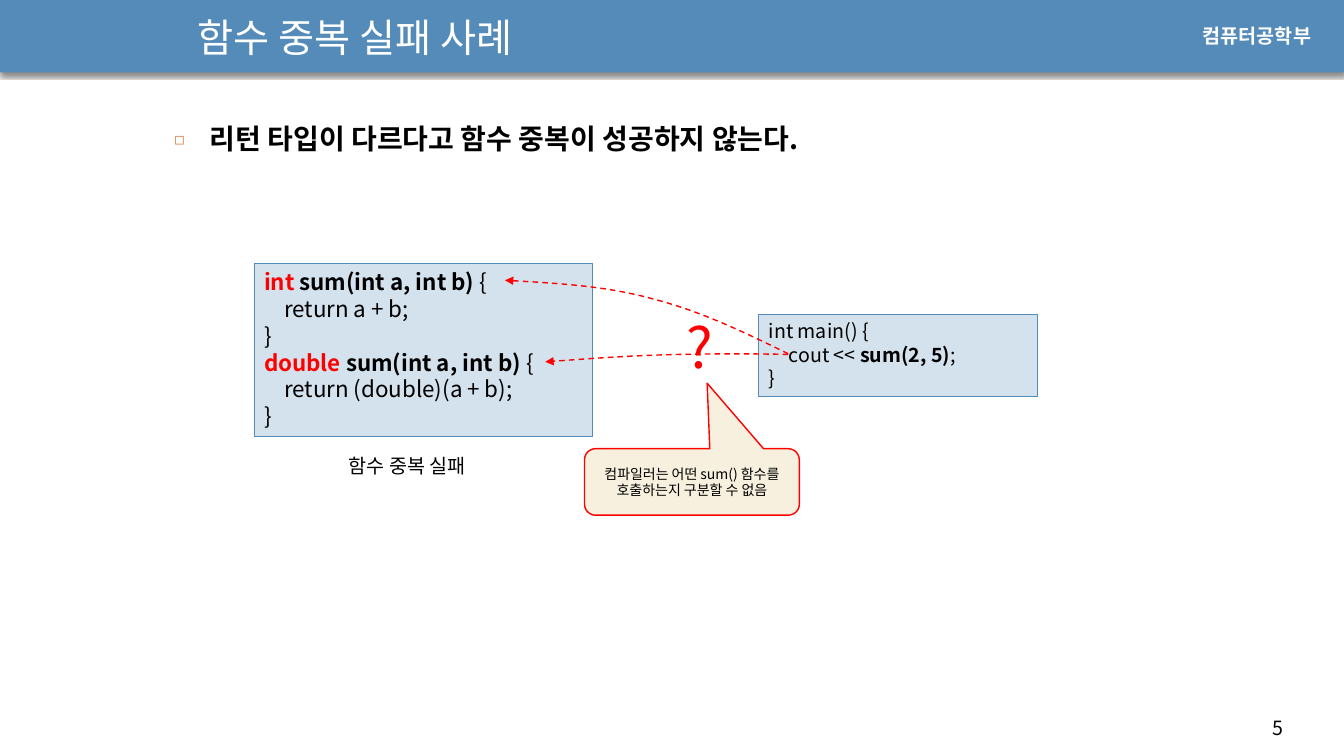
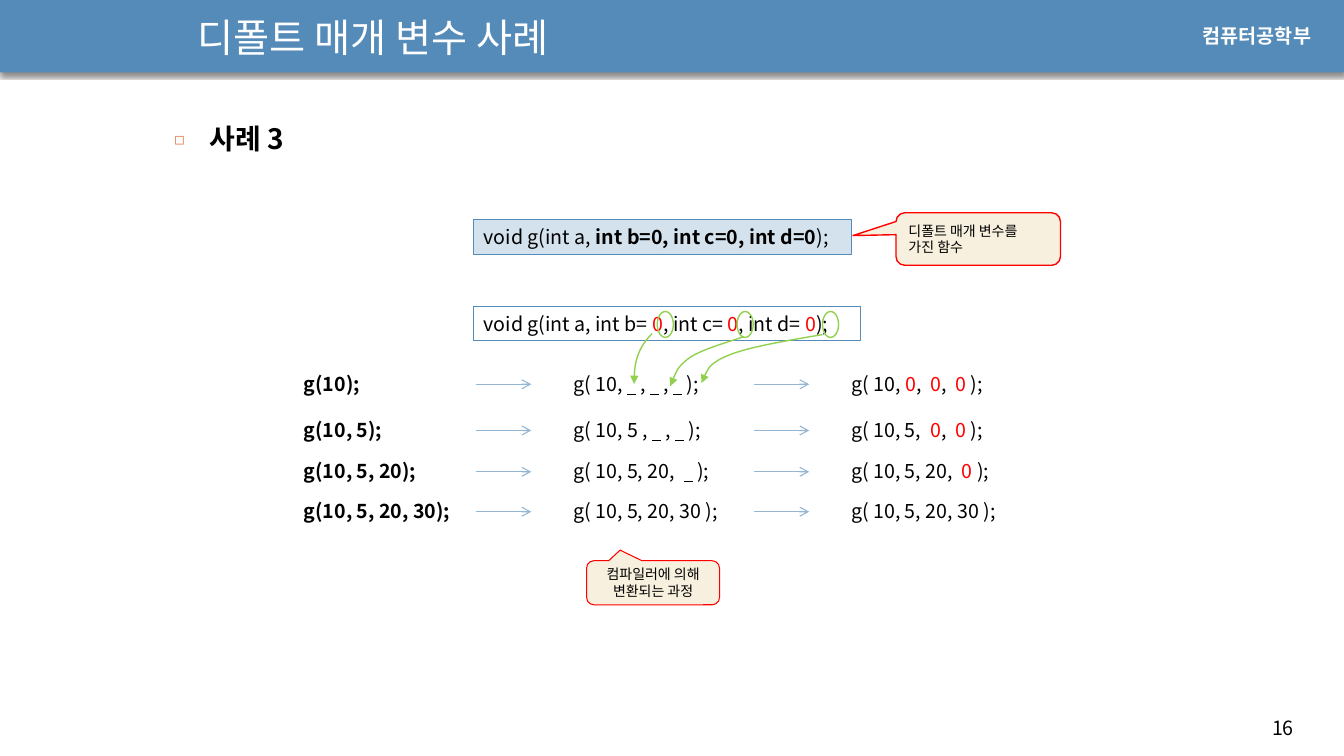
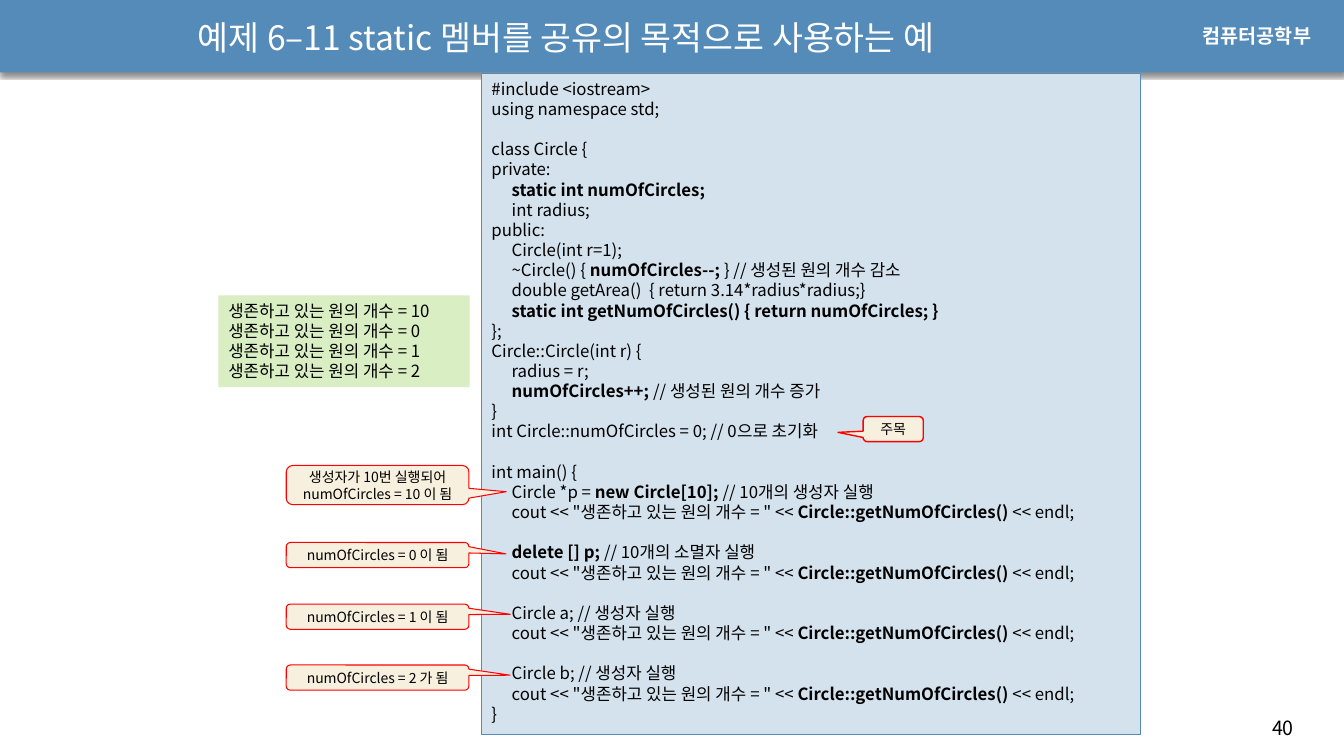
from lxml.etree import SubElement
from pptx import Presentation
from pptx.dml.color import RGBColor
from pptx.enum.dml import MSO_LINE
from pptx.enum.shapes import MSO_CONNECTOR, MSO_SHAPE
from pptx.enum.text import MSO_ANCHOR as Anchor, MSO_AUTO_SIZE, PP_ALIGN as Align
from pptx.oxml.ns import qn
from pptx.util import Pt

FONT = "Noto Sans CJK KR"
BLACK = RGBColor(0x00, 0x00, 0x00)
WHITE = RGBColor(0xFF, 0xFF, 0xFF)
RED = RGBColor(0xFF, 0x00, 0x00)
BLUE = RGBColor(0x55, 0x8B, 0xB8)
SOFT_BLUE = RGBColor(0x94, 0xB6, 0xD2)
PALE_BLUE = RGBColor(0xD4, 0xE2, 0xED)
PALE_GREEN = RGBColor(0xDA, 0xEE, 0xC4)
GREEN = RGBColor(0x92, 0xD0, 0x50)
CREAM = RGBColor(0xF7, 0xF0, 0xDE)
ORANGE = RGBColor(0xDD, 0x80, 0x47)
LINE_FACTOR = 1.2
CODE_INDENT = 14.4


# Run styles: a line is a string or a list of strings and (text, style) pairs
def bold(text):
    return text, {"bold": True}


def red(text, **style):
    return text, {"color": RED, **style}


BLANK = ("  ", {"underline": True})
ZERO = red("0")

# Content: failed overloading
SUM_CODE = [
    [red("int ", bold=True), bold("sum(int a, int b) "), "{"],
    "\treturn a + b;",
    "}",
    [red("double ", bold=True), bold("sum(int a, int b) "), "{"],
    "\treturn (double)(a + b);",
    "}",
]
MAIN_CODE = ["int main() {", ["\tcout << ", bold("sum(2, 5)"), ";"], "}"]
CALL_CURVES = [
    [(563, 252.7), (532.1, 237.6), (501.1, 222.5), (467.3, 213.8),
     (434.2, 204.5), (397.4, 202.3), (360.7, 200.2)],
    [(563, 253.2), (535, 252.6), (506.9, 252.6), (477.4, 253.4),
     (448.6, 254.2), (419, 256.3), (389.5, 258.5)],
]

# Content: default parameters
DECLARATION = ["void g(int a, ", bold("int b=0, int c=0, int d=0"), ");"]
EXPANDED = ["void g(int a, int b= ", ZERO, ", int c= ", ZERO, ", int d= ", ZERO, ");"]
CALL_ROWS = [  # top, call, blanks, filled
    (262, "g(10);", ["g( 10, ", BLANK, " , ", BLANK, " , ", BLANK, " );"],
     ["g( 10, ", ZERO, ",  ", ZERO, ",  ", ZERO, " );"]),
    (295, "g(10, 5);", ["g( 10, 5 , ", BLANK, " , ", BLANK, " );"],
     ["g( 10, 5,  ", ZERO, ",  ", ZERO, " );"]),
    (324.5, "g(10, 5, 20);", ["g( 10, 5, 20,  ", BLANK, " );"],
     ["g( 10, 5, 20,  ", ZERO, " );"]),
    (353, "g(10, 5, 20, 30);", "g( 10, 5, 20, 30 );", "g( 10, 5, 20, 30 );"),
]
CALL_COLUMNS = [210, 402.5, 601]
ARROW_STARTS = [340, 538.5]
RING_LEFTS = [469.5, 526.5, 587.5]
DEFAULT_CURVES = [
    [(465.8, 238.3), (461.5, 242.6), (457.9, 247.7), (455.8, 253.4),
     (453.6, 259.9), (452.9, 267.1), (452.9, 274.3)],
    [(531.4, 240.5), (516.2, 245.5), (501.1, 249.8), (492.5, 255.6),
     (483.8, 262.1), (481.7, 268.6), (478.8, 275.8)],
    [(587.5, 239), (561.6, 243.4), (535.7, 247.7), (521.3, 253.4),
     (506.9, 259.2), (504, 266.4), (501.1, 273.6)],
]

# Content: static members ("" opens a gap above the next line)
PRINT_COUNT = ['\tcout << "생존하고 있는 원의 개수 = " << ',
               bold("Circle::getNumOfCircles()"), " << endl;"]
CIRCLE_CODE = [
    "#include <iostream>",
    "using namespace std;",
    "",
    "class Circle {",
    "private:",
    ["\t", bold("static int numOfCircles;")],
    "\tint radius;",
    "public:",
    "\tCircle(int r=1);",
    ["\t~Circle() { ", bold("numOfCircles--; "), "} // 생성된 원의 개수 감소"],
    "\tdouble getArea()  { return 3.14*radius*radius;}",
    ["\t", bold("static int getNumOfCircles() { return numOfCircles; }")],
    "};",
    "Circle::Circle(int r) {",
    "\tradius = r;",
    ["\t", bold("numOfCircles++; "), "// 생성된 원의 개수 증가"],
    "}",
    "int Circle::numOfCircles = 0; // 0으로 초기화",
    "",
    "int main() {",
    ["\tCircle *p = ", bold("new Circle[10]; "), "// 10개의 생성자 실행"],
    PRINT_COUNT,
    "",
    ["\t", bold("delete [] p; "), "// 10개의 소멸자 실행"],
    PRINT_COUNT,
    "",
    "\tCircle a; // 생성자 실행",
    PRINT_COUNT,
    "",
    "\tCircle b; // 생성자 실행",
    PRINT_COUNT,
    "}",
]
COUNTS = [10, 0, 1, 2]
COUNT_NOTES = [  # top, height, pointer tip, lines
    (332.5, 28, (0.704, 0.17), ["생성자가 10번 실행되어", "numOfCircles = 10 이 됨"]),
    (387.5, 18, (0.703, -0.048), ["numOfCircles = 0 이 됨"]),
    (431.5, 18, (0.726, -0.095), ["numOfCircles = 1 이 됨"]),
    (475, 18, (0.726, -0.095), ["numOfCircles = 2 가 됨"]),
]


# Text
def write(shape, lines, size=14, color=BLACK, bold=False, font=FONT, align=Align.LEFT,
          anchor=Anchor.TOP, margin=7.2, bullet=None):
    frame = shape.text_frame
    frame.word_wrap = True
    frame.auto_size = MSO_AUTO_SIZE.NONE
    frame.vertical_anchor = anchor
    frame.margin_left = frame.margin_right = Pt(margin)
    frame.margin_top = frame.margin_bottom = Pt(3.6)
    para, gap = None, 0
    for line in lines:
        if not line:
            gap = size * LINE_FACTOR
            continue
        para = frame.add_paragraph() if para else frame.paragraphs[0]
        para.alignment = align
        para.line_spacing = Pt(size * LINE_FACTOR)
        para.space_before, gap = Pt(gap), 0
        para.space_after = Pt(0)
        for piece in [line] if isinstance(line, str) else line:
            text, style = (piece, {}) if isinstance(piece, str) else piece
            if text.startswith("\t"):
                para._p.get_or_add_pPr().set("marL", str(Pt(CODE_INDENT)))
                text = text[1:]
            if not text:
                continue
            span = para.add_run()
            span.text = text
            span.font.size = Pt(size)
            span.font.name = font
            span.font.bold = style.get("bold", bold)
            span.font.underline = style.get("underline", False)
            span.font.color.rgb = style.get("color", color)
            SubElement(span.font._element, qn("a:ea"), typeface=FONT)
        if bullet:
            add_bullet(para, bullet)


def add_bullet(para, mark):
    para.space_after = Pt(6)
    props = para._p.get_or_add_pPr()
    props.set("marL", str(Pt(25.2)))
    props.set("indent", str(-Pt(25.2)))
    tint = SubElement(props, qn("a:buClr"))
    SubElement(tint, qn("a:srgbClr"), val=str(ORANGE))
    SubElement(props, qn("a:buSzPct"), val="60000")
    SubElement(props, qn("a:buFont"), typeface=FONT)
    SubElement(props, qn("a:buChar"), char=mark)


# Shapes
def add_label(page, at, lines, **text_format):
    box = page.shapes.add_textbox(*map(Pt, at))
    write(box, lines, **text_format)


def add_box(page, at, lines=(), preset=MSO_SHAPE.RECTANGLE, fill=None, line=None,
            weight=0.75, **text_format):
    box = page.shapes.add_shape(preset, *map(Pt, at))
    box.shadow.inherit = False
    if fill is None:
        box.fill.background()
    else:
        box.fill.solid()
        box.fill.fore_color.rgb = fill
    if line is None:
        box.line.fill.background()
    else:
        box.line.color.rgb = line
        box.line.width = Pt(weight)
    if lines:
        write(box, lines, **text_format)
    return box


def add_code(page, at, lines, size=14, fill=PALE_BLUE):
    add_box(page, at, lines, fill=fill, line=BLUE, size=size)


def add_callout(page, at, tip, lines, weight=0.75, align=Align.CENTER):
    box = add_box(page, at, lines, MSO_SHAPE.ROUNDED_RECTANGULAR_CALLOUT, CREAM, RED, weight,
                  size=10, align=align, anchor=Anchor.MIDDLE,
                  margin=4 if align == Align.CENTER else 7.2)
    box.adjustments[0], box.adjustments[1] = tip


def style_arrow(arrow, color, weight, head):
    arrow.line.color.rgb = color
    arrow.line.width = Pt(weight)
    SubElement(arrow.line._get_or_add_ln(), qn("a:tailEnd"), type=head)


def add_arrow(page, left, right, y):
    arrow = page.shapes.add_connector(MSO_CONNECTOR.STRAIGHT, Pt(left), Pt(y), Pt(right), Pt(y))
    SubElement(arrow.element.spPr, qn("a:effectLst"))
    style_arrow(arrow, SOFT_BLUE, 0.79, "arrow")


def add_curve(page, points, color, dash=None):
    start, *rest = [(Pt(x), Pt(y)) for x, y in points]
    builder = page.shapes.build_freeform(*start)
    builder.add_line_segments(rest, close=False)
    curve = builder.convert_to_shape()
    curve.shadow.inherit = False
    curve.fill.background()
    curve.line.dash_style = dash
    style_arrow(curve, color, 1, "triangle")
    # Every three line points become one cubic segment
    outline = next(curve.element.iter(qn("a:path")))
    steps = outline.findall(qn("a:lnTo"))
    for first in range(0, len(steps), 3):
        bend = SubElement(outline, qn("a:cubicBezTo"))
        for step in steps[first:first + 3]:
            bend.append(step[0])
            outline.remove(step)


# Shared frame: band, title, school, page number, optional bullet heading
def start_page(deck, title, number, heading=None, title_size=28, title_width=533):
    page = deck.slides.add_slide(deck.slide_layouts[5])
    band = add_box(page, (0, -0.7, 960, 52.5), fill=BLUE)
    effects = band.element.spPr.find(qn("a:effectLst"))
    shadow = SubElement(effects, qn("a:outerShdw"), blurRad=str(Pt(3)), dist=str(Pt(2.4)),
                        dir="5400000", algn="t", rotWithShape="0")
    shade = SubElement(shadow, qn("a:srgbClr"), val=str(BLACK))
    SubElement(shade, qn("a:alpha"), val="45000")
    head = page.shapes.title
    head.element.addprevious(band.element)
    head.left, head.top, head.width, head.height = map(Pt, (134, 3.5, title_width, 45.5))
    write(head, [title], size=title_size, color=WHITE, anchor=Anchor.MIDDLE)
    add_label(page, (901.5, 507.5, 51, 24.5), [str(number)])
    add_label(page, (852, 13.5, 98.5, 24.5), ["컴퓨터공학부"], color=WHITE, bold=True,
              font="Arial")
    if heading:
        add_label(page, (117.5, 83, 799, 397), [heading], size=20, bold=True, bullet="◻")
    return page


def build_overload_page(deck):
    page = start_page(deck, "함수 중복 실패 사례", 5,
                      "리턴 타입이 다르다고 함수 중복이 성공하지 않는다.")
    add_code(page, (181.5, 188, 242, 124), SUM_CODE, size=16)
    add_code(page, (542, 224.5, 199, 58.5), MAIN_CODE)
    for points in CALL_CURVES:
        add_curve(page, points, RED, MSO_LINE.DASH)
    add_label(page, (242, 321, 109.5, 24.5), ["함수 중복 실패"])
    add_callout(page, (417.5, 320.5, 153.5, 47.5), (0.071, -1.485),
                ["컴파일러는 어떤 sum() 함수를 호출하는지 구분할 수 없음"], weight=1)
    add_label(page, (483, 219.5, 33, 55.5), ["?"], size=40, color=RED)


def build_default_page(deck):
    page = start_page(deck, "디폴트 매개 변수 사례", 16, "사례 3")
    add_code(page, (338.5, 219, 276.5, 24.5), [EXPANDED], fill=None)
    for top, *cells in CALL_ROWS:
        for left, cell in zip(CALL_COLUMNS, cells):
            add_label(page, (left, top, 130, 24.5), [cell], bold=left == CALL_COLUMNS[0])
        for left in ARROW_STARTS:
            add_arrow(page, left, left + 39.5, top + 12.5)
    for left, points in zip(RING_LEFTS, DEFAULT_CURVES):
        add_box(page, (left, 222.5, 11.5, 18.5), preset=MSO_SHAPE.OVAL, line=GREEN, weight=1)
        add_curve(page, points, GREEN)
    add_code(page, (338.5, 157, 269.5, 24.5), [DECLARATION])
    add_callout(page, (640, 152, 117.5, 37.5), (-0.762, -0.066),
                ["디폴트 매개 변수를", "가진 함수"], weight=1, align=Align.LEFT)
    add_callout(page, (419, 400.5, 95, 31.5), (-0.248, -0.741),
                ["컴파일러에 의해 변환되는 과정"])


def build_static_page(deck):
    page = start_page(deck, "예제 6–11 static 멤버를 공유의 목적으로 사용하는 예", 40,
                      title_size=24, title_width=657)
    add_code(page, (344, 52.5, 471, 472.5), CIRCLE_CODE, size=12)
    add_box(page, (156, 211, 179.5, 65.5),
            [f"생존하고 있는 원의 개수 = {count}" for count in COUNTS],
            fill=PALE_GREEN, size=12)
    add_callout(page, (616.5, 297.5, 43, 18), (-0.916, 0.131), ["주목"], weight=1)
    for top, height, tip, lines in COUNT_NOTES:
        add_callout(page, (204.5, top, 130.5, height), tip, lines)


def main():
    deck = Presentation()
    deck.slide_width, deck.slide_height = Pt(960), Pt(540)
    build_overload_page(deck)
    build_default_page(deck)
    build_static_page(deck)
    deck.save("out.pptx")


if __name__ == "__main__":
    main()
